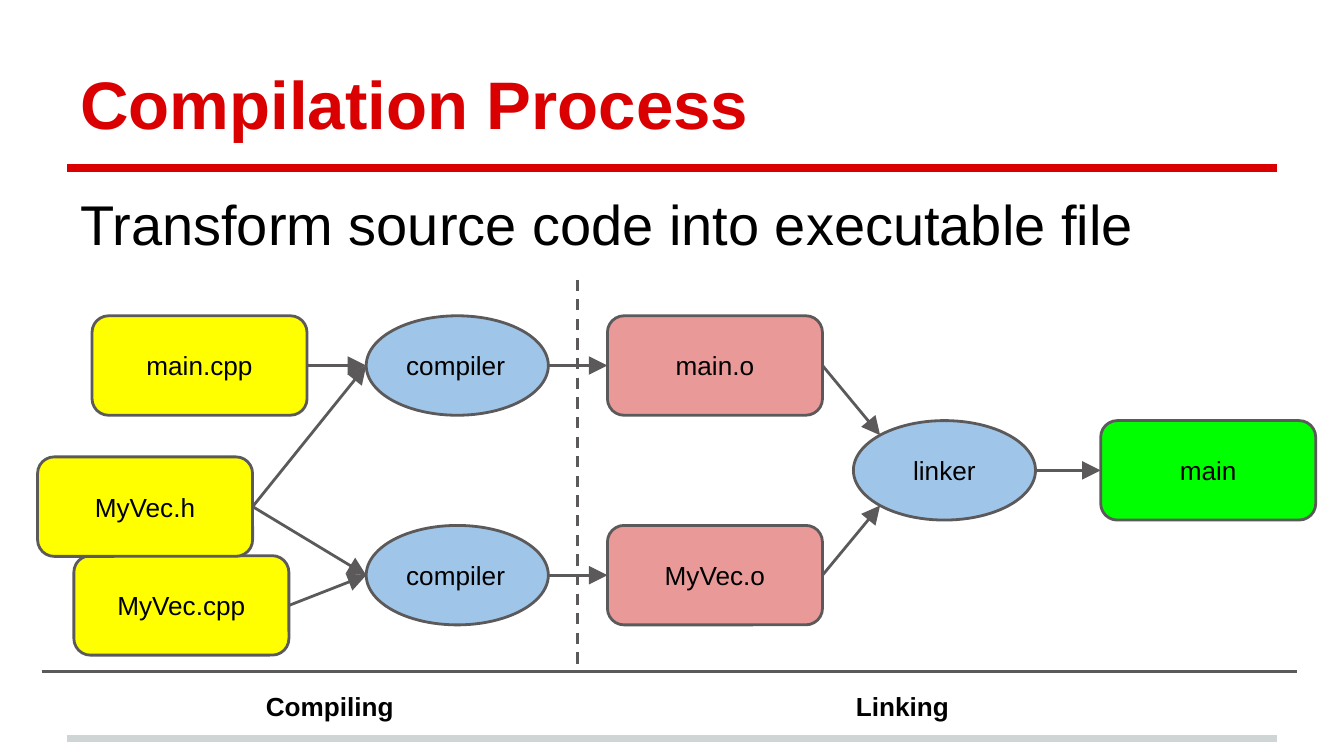
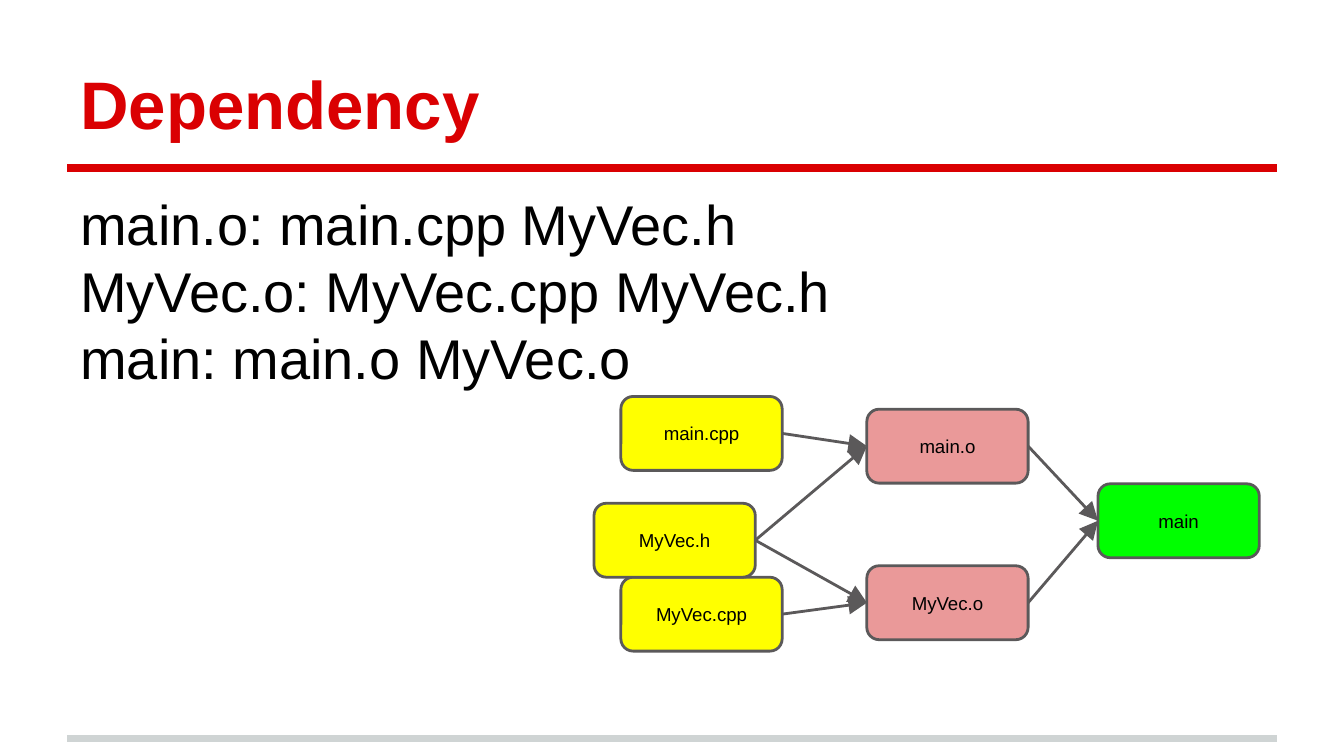
from lxml.etree import SubElement
from pptx import Presentation
from pptx.dml.color import RGBColor
from pptx.enum.dml import MSO_LINE
from pptx.enum.shapes import MSO_CONNECTOR, MSO_SHAPE as Preset
from pptx.enum.text import MSO_ANCHOR as Anchor, PP_ALIGN as Align
from pptx.oxml.ns import qn
from pptx.util import Pt

PX = 4572  # EMU in one px, 200 px to the inch
FONT = "Arial"
RED = RGBColor(0xDA, 0x00, 0x02)
SILVER = RGBColor(0xCF, 0xD4, 0xD4)
GRAY = RGBColor(0x5B, 0x59, 0x5A)
BLACK = RGBColor(0x00, 0x00, 0x00)
YELLOW = RGBColor(0xFF, 0xFF, 0x00)
PINK = RGBColor(0xEA, 0x99, 0x99)
BLUE = RGBColor(0x9F, 0xC5, 0xE8)
GREEN = RGBColor(0x00, 0xFF, 0x00)


def add_text(slide, text, box, size, color=BLACK, bold=False, align=Align.LEFT,
             anchor=Anchor.TOP, preset=None, fill=None):
    """Add a text box, or a filled and outlined shape if a preset is given."""
    place = [n * PX for n in box]
    if preset is None:
        holder = slide.shapes.add_textbox(*place)
    else:
        holder = slide.shapes.add_shape(preset, *place)
        holder.shadow.inherit = False
        holder.fill.solid()
        holder.fill.fore_color.rgb = fill
        holder.line.color.rgb = GRAY
        holder.line.width = Pt(1.5)
    frame = holder.text_frame
    frame.word_wrap = True
    frame.vertical_anchor = anchor
    frame.margin_left = frame.margin_right = 20 * PX
    frame.margin_top = frame.margin_bottom = 20 * PX
    frame.text = text
    for paragraph in frame.paragraphs:
        paragraph.alignment = align
        for run in paragraph.runs:
            font = run.font
            font.name, font.size, font.bold = FONT, Pt(size), bold
            font.color.rgb = color
    return holder


def add_line(slide, start, end, color=GRAY, width=1.5, dashed=False, arrow=False):
    line = slide.shapes.add_connector(
        MSO_CONNECTOR.STRAIGHT, *[round(n * PX) for n in (*start, *end)])
    line.line.color.rgb = color
    line.line.width = Pt(width)
    if dashed:
        line.line.dash_style = MSO_LINE.DASH
    if arrow:
        SubElement(line.line._get_or_add_ln(), qn("a:tailEnd"),
                   type="triangle", w="lg", len="lg")
    SubElement(line._element.spPr, qn("a:effectLst"))
    return line


# Kind of step: preset, fill
KINDS = {
    "source": (Preset.ROUNDED_RECTANGLE, YELLOW),
    "object": (Preset.ROUNDED_RECTANGLE, PINK),
    "tool": (Preset.OVAL, BLUE),
    "program": (Preset.ROUNDED_RECTANGLE, GREEN),
}
TOOL_WIDTH = 271
OVAL_INSET = (1 - 0.5 ** 0.5) / 2  # where the diagonal of the frame meets the oval

# Each step: key, label, kind, left, top
PAGES = [
    {
        "title": "Compilation Process",
        "body": "Transform source code into executable file",
        "file_size": (320, 148),
        "label_size": 14,
        "steps": [
            ("main.cpp", "main.cpp", "source", 137, 470),
            ("MyVec.cpp", "MyVec.cpp", "source", 110, 827),
            ("MyVec.h", "MyVec.h", "source", 56, 680),
            ("main.o", "main.o", "object", 904, 470),
            ("MyVec.o", "MyVec.o", "object", 904, 782),
            ("compile main", "compiler", "tool", 545, 470),
            ("compile MyVec", "compiler", "tool", 545, 782),
            ("main", "main", "program", 1638, 626),
            ("link", "linker", "tool", 1270, 626),
        ],
        "flows": [
            ("main.cpp", "compile main"), ("MyVec.cpp", "compile MyVec"),
            ("MyVec.h", "compile main"), ("MyVec.h", "compile MyVec"),
            ("compile main", "main.o"), ("compile MyVec", "MyVec.o"),
            ("main.o", "link"), ("MyVec.o", "link"), ("link", "main"),
        ],
    },
    {
        "title": "Dependency",
        "body": "main.o: main.cpp MyVec.h\nMyVec.o: MyVec.cpp MyVec.h\nmain: main.o MyVec.o",
        "file_size": (240, 110),
        "label_size": 10,
        "steps": [
            ("main.cpp", "main.cpp", "source", 924, 590),
            ("MyVec.cpp", "MyVec.cpp", "source", 924, 859),
            ("MyVec.h", "MyVec.h", "source", 884, 749),
            ("main.o", "main.o", "object", 1290, 609),
            ("MyVec.o", "MyVec.o", "object", 1290, 842),
            ("main", "main", "program", 1634, 720),
        ],
        "flows": [
            ("main.cpp", "main.o"), ("MyVec.cpp", "MyVec.o"),
            ("MyVec.h", "main.o"), ("MyVec.h", "MyVec.o"),
            ("main.o", "main"), ("MyVec.o", "main"),
        ],
    },
]

deck = Presentation()
deck.slide_width, deck.slide_height = 2000 * PX, 1125 * PX
slides = []

for page in PAGES:
    slide = deck.slides.add_slide(deck.slide_layouts[6])
    slides.append(slide)
    add_line(slide, (100, 1099), (1900, 1099), color=SILVER, width=4)
    add_line(slide, (100, 250), (1900, 250), color=RED, width=4)
    add_text(slide, page["title"], (100, 45, 1800, 188), 36, color=RED, bold=True,
             anchor=Anchor.BOTTOM)
    add_text(slide, page["body"], (100, 262, 1800, 814), 30)

    file_width, height = page["file_size"]
    steps = {}
    for key, label, kind, left, top in page["steps"]:
        preset, fill = KINDS[kind]
        width = TOOL_WIDTH if kind == "tool" else file_width
        align = Align.LEFT if label == "compiler" else Align.CENTER
        shape = add_text(slide, label, (left, top, width, height), page["label_size"],
                         align=align, anchor=Anchor.MIDDLE, preset=preset, fill=fill)
        steps[key] = (shape, kind, left, top, width)

    for source, target in page["flows"]:
        source_shape, source_kind, left, top, width = steps[source]
        start = (left + width, top + height / 2)
        target_shape, target_kind, left, top, width = steps[target]
        end = (left, top + height / 2)
        if target == "link":
            share = OVAL_INSET if start[1] < end[1] else 1 - OVAL_INSET
            end = (left + width * OVAL_INSET, top + height * share)
        flow = add_line(slide, start, end, arrow=True)
        if source_kind != "tool":
            flow.begin_connect(source_shape, 3)
        if target_kind != "tool":
            flow.end_connect(target_shape, 1)

process = slides[0]
add_line(process, (62, 999), (1930, 999))
add_line(process, (859, 416), (859, 999), dashed=True)
for phase, left in (("Compiling", 376), ("Linking", 1254)):
    add_text(process, phase, (left, 1008, 346, 80), 14, bold=True)

deck.save("out.pptx")
